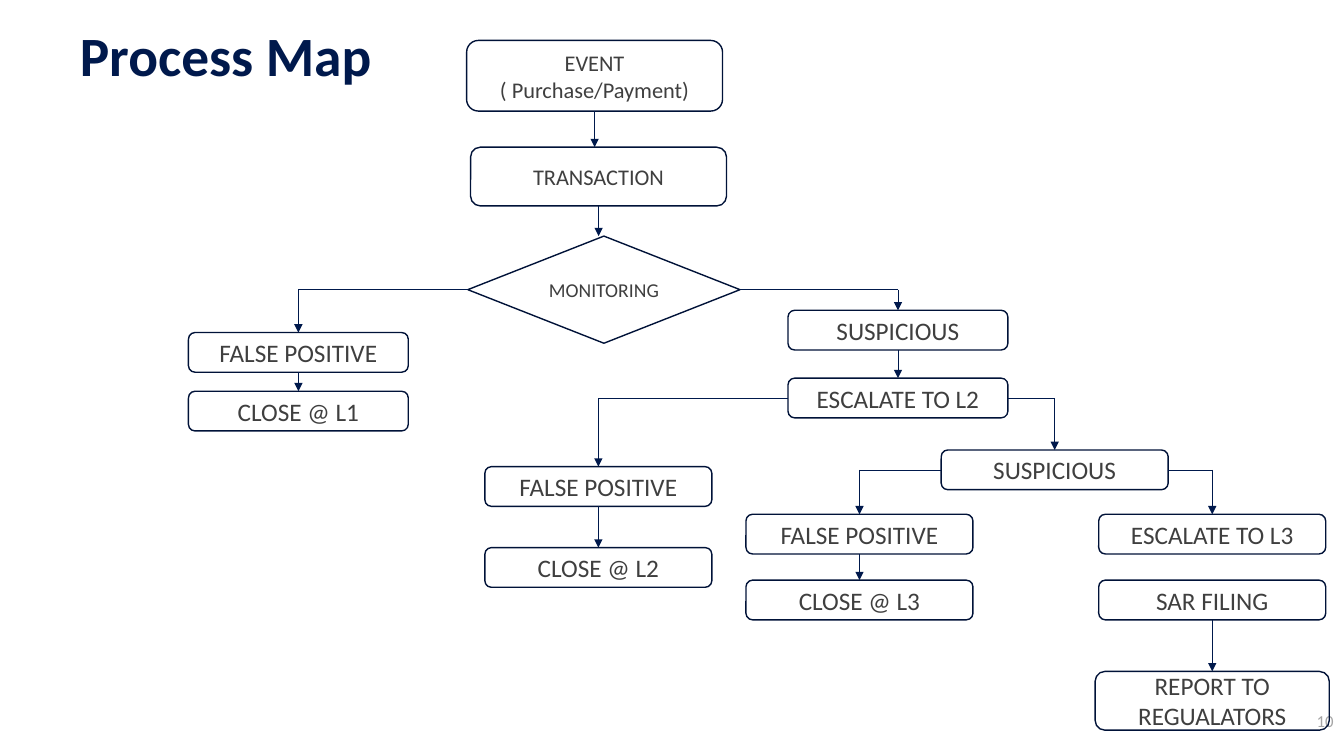
from lxml import etree
from pptx import Presentation
from pptx.dml.color import RGBColor
from pptx.enum.shapes import MSO_CONNECTOR, MSO_SHAPE
from pptx.enum.text import MSO_ANCHOR, MSO_AUTO_SIZE, PP_ALIGN
from pptx.oxml.ns import qn
from pptx.util import Cm, Pt

NAVY = RGBColor(0x00, 0x19, 0x4C)
OUTLINE = RGBColor(0x00, 0x12, 0x38)
CHARCOAL = RGBColor(0x3F, 0x3F, 0x3F)
GREY = RGBColor(0xA5, 0xA5, 0xA5)
ROUNDED = MSO_SHAPE.ROUNDED_RECTANGLE
DECISION = MSO_SHAPE.FLOWCHART_DECISION
STRAIGHT = MSO_CONNECTOR.STRAIGHT
TOP, MIDDLE = MSO_ANCHOR.TOP, MSO_ANCHOR.MIDDLE
LEFT, CENTER, RIGHT = PP_ALIGN.LEFT, PP_ALIGN.CENTER, PP_ALIGN.RIGHT
FIXED = MSO_AUTO_SIZE.NONE
TITLE_ONLY = 5

LARGE, SMALL, WIDE = (6.45, 1.48), (5.54, 1), (5.72, 1)

STEPS = {
    "event": ("EVENT\n( Purchase/Payment)", (11.76, 1.02), (6.45, 1.78), 16),
    "transaction": ("TRANSACTION", (11.86, 3.71), LARGE, 16),
    "monitoring": ("MONITORING", (11.79, 5.95), (6.86, 2.7), 14),
    "false 1": ("FALSE POSITIVE", (4.75, 8.38), SMALL, 18),
    "close 1": ("CLOSE @ L1", (4.75, 9.86), SMALL, 18),
    "suspicious 1": ("SUSPICIOUS", (19.86, 7.82), SMALL, 18),
    "escalate 2": ("ESCALATE TO L2", (19.86, 9.53), SMALL, 18),
    "false 2": ("FALSE POSITIVE", (12.22, 11.76), WIDE, 18),
    "close 2": ("CLOSE @ L2", (12.22, 13.8), WIDE, 18),
    "suspicious 2": ("SUSPICIOUS", (23.72, 11.34), WIDE, 18),
    "false 3": ("FALSE POSITIVE", (18.8, 12.96), WIDE, 18),
    "close 3": ("CLOSE @ L3", (18.8, 14.62), WIDE, 18),
    "escalate 3": ("ESCALATE TO L3", (27.69, 12.96), WIDE, 18),
    "filing": ("SAR FILING", (27.69, 14.62), WIDE, 18),
    "report": ("REPORT TO REGUALATORS", (27.6, 16.92), (5.9, 1.48), 18),
}

FLOWS = [
    ("event", "transaction"),
    ("transaction", "monitoring"),
    ("false 1", "close 1"),
    ("suspicious 1", "escalate 2"),
    ("false 2", "close 2"),
    ("false 3", "close 3"),
    ("filing", "report"),
]

BRANCHES = {
    "monitoring": ("false 1", "suspicious 1"),
    "escalate 2": ("false 2", "suspicious 2"),
    "suspicious 2": ("false 3", "escalate 3"),
}


def assign(target, values):
    for name, value in values.items():
        setattr(target, name, value)


def middle(box):
    return box.left + box.width // 2


class ProcessPage:
    font = "Calibri"

    def __init__(self, deck):
        self.page = deck.slides.add_slide(deck.slide_layouts[TITLE_ONLY])

    def fill_text(self, box, text, size, color, align, frame_values, bold=False):
        frame = box.text_frame
        frame.text = text
        assign(frame, {"word_wrap": True, **frame_values})
        for para in frame.paragraphs:
            para.alignment = align
            for span in para.runs:
                assign(span.font, {"name": self.font, "size": Pt(size), "bold": bold})
                span.font.color.rgb = color

    def title(self, text):
        box = self.page.shapes.title
        assign(box, {"left": Cm(1.45), "top": Cm(0.58), "width": Cm(30.1), "height": Cm(3.2)})
        frame_values = {
            "vertical_anchor": TOP,
            "auto_size": FIXED,
            "margin_left": Cm(0.56),
            "margin_top": Cm(0.13),
            "margin_bottom": 0,
        }
        self.fill_text(box, text, 39.6, NAVY, LEFT, frame_values, bold=True)
        box.text_frame.paragraphs[0].line_spacing = 0.9

    def number(self, text):
        box = self.page.shapes.add_textbox(Cm(31.8), Cm(17.65), Cm(2.06), Cm(1.02))
        self.fill_text(box, text, 12, GREY, RIGHT, {"vertical_anchor": MIDDLE})

    def step(self, text, corner, extent, size, outline=ROUNDED):
        box = self.page.shapes.add_shape(outline, *map(Cm, corner + extent))
        box.shadow.inherit = False
        box.fill.background()
        box.line.color.rgb = OUTLINE
        box.line.width = Pt(1)
        self.fill_text(box, text, size, CHARCOAL, CENTER, {"vertical_anchor": MIDDLE})
        return box

    def line(self, start, end, arrow=False):
        link = self.page.shapes.add_connector(STRAIGHT, *start, *end)
        link.line.color.rgb = NAVY
        link.line.width = Pt(0.5)
        properties = link.element.spPr
        if arrow:
            etree.SubElement(properties.find(qn("a:ln")), qn("a:tailEnd"), type="triangle")
        etree.SubElement(properties, qn("a:effectLst"))

    def flow(self, source, target):
        x = middle(source)
        self.line((x, source.top + source.height), (x, target.top), arrow=True)

    def branch(self, source, target):
        x, y = middle(target), source.top + source.height // 2
        edge = source.left if x < source.left else source.left + source.width
        self.line((edge, y), (x, y))
        self.line((x, y), (x, target.top), arrow=True)


deck = Presentation()
assign(deck, {"slide_width": Cm(33.87), "slide_height": Cm(19.05)})
process = ProcessPage(deck)
process.title("Process Map")
process.number("10")

boxes = {
    name: process.step(*values, outline=DECISION if name == "monitoring" else ROUNDED)
    for name, values in STEPS.items()
}
for source, target in FLOWS:
    process.flow(boxes[source], boxes[target])
for source, targets in BRANCHES.items():
    for target in targets:
        process.branch(boxes[source], boxes[target])

deck.save("out.pptx")
